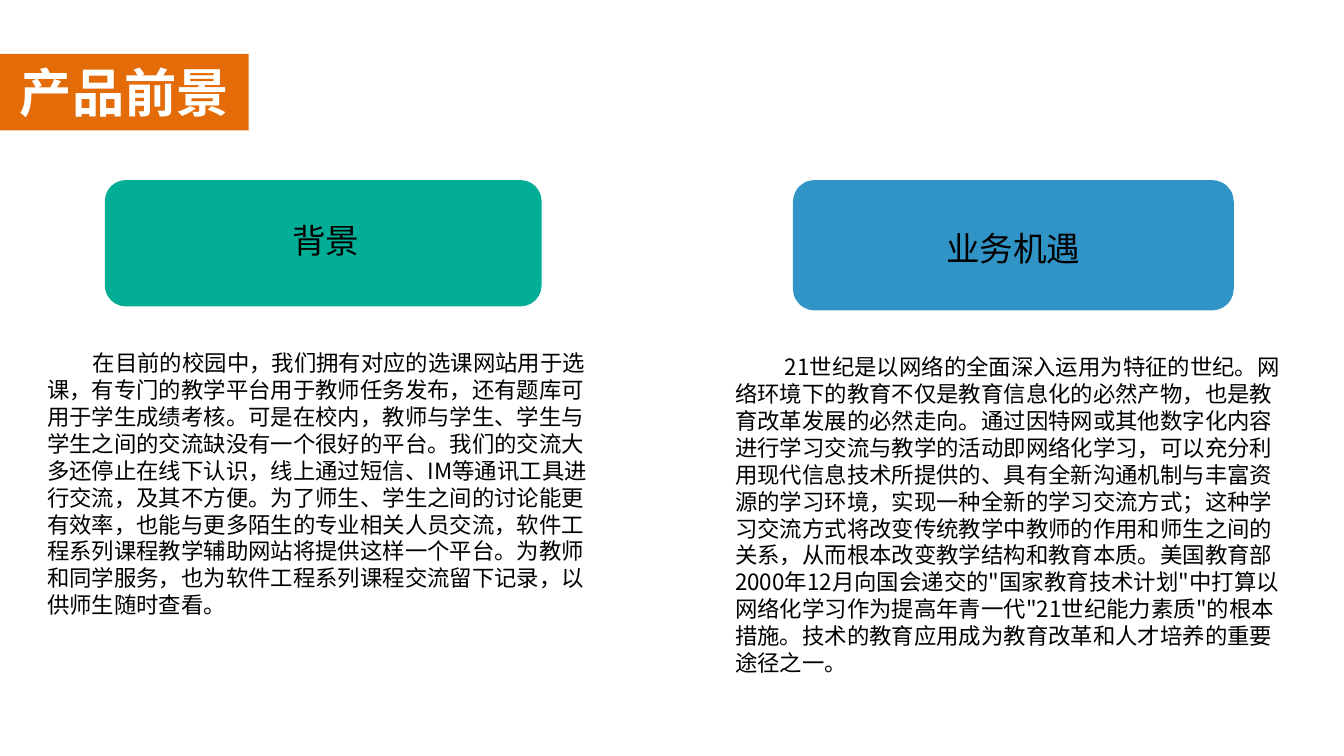
import pptx
import pptx.dml.color
import pptx.enum.lang
import pptx.enum.shapes
import pptx.enum.text
import pptx.oxml.ns
import pptx.util
from dataclasses import dataclass
from lxml import etree

Inches = pptx.util.Inches
ALIGN = pptx.enum.text.PP_ALIGN
ANCHOR = pptx.enum.text.MSO_ANCHOR
qn = pptx.oxml.ns.qn


@dataclass(frozen=True)
class Theme:
    title_font: str = "Calibri"
    font: str = "Noto Sans CJK SC"
    banner: str = "E36C09"
    green: str = "03AE97"
    blue: str = "3194C6"
    light: str = "FFFFFF"
    dark: str = "000000"
    title_size: int = 28
    heading_size: int = 18
    body_size: int = 12


THEME = Theme()

BACKGROUND = (
    "在目前的校园中，我们拥有对应的选课网站用于选课，有专门的教学平台用于教师任务发布，"
    "还有题库可用于学生成绩考核。可是在校内，教师与学生、学生与学生之间的交流缺没有一个很好的平台。"
    "我们的交流大多还停止在线下认识，线上通过短信、IM等通讯工具进行交流，及其不方便。"
    "为了师生、学生之间的讨论能更有效率，也能与更多陌生的专业相关人员交流，"
    "软件工程系列课程教学辅助网站将提供这样一个平台。"
    "为教师和同学服务，也为软件工程系列课程交流留下记录，以供师生随时查看。"
)
OPPORTUNITY = (
    "21世纪是以网络的全面深入运用为特征的世纪。网络环境下的教育不仅是教育信息化的必然产物，"
    "也是教育改革发展的必然走向。通过因特网或其他数字化内容进行学习交流与教学的活动即网络化学习，"
    "可以充分利用现代信息技术所提供的、具有全新沟通机制与丰富资源的学习环境，"
    "实现一种全新的学习交流方式；这种学习交流方式将改变传统教学中教师的作用和师生之间的关系，"
    "从而根本改变教学结构和教育本质。美国教育部2000年12月向国会递交的\"国家教育技术计划\"中"
    "打算以网络化学习作为提高年青一代\"21世纪能力素质\"的根本措施。"
    "技术的教育应用成为教育改革和人才培养的重要途径之一。"
)


def set_attrs(obj, values):
    for name, value in values.items():
        setattr(obj, name, value)


def place(sp, left, top, width, height):
    set_attrs(sp, {"left": Inches(left), "top": Inches(top),
                   "width": Inches(width), "height": Inches(height)})


def fill(sp, color):
    sp.fill.solid()
    sp.fill.fore_color.rgb = pptx.dml.color.RGBColor.from_string(color)


def write(sp, text, size, color, font, bold=False, align=ALIGN.LEFT,
          anchor=ANCHOR.TOP, margins=(0, 0), before=0):
    """Fill a shape with one formatted paragraph and return the paragraph."""
    tf = sp.text_frame
    x, y = (Inches(m) for m in margins)
    set_attrs(tf, {"word_wrap": True, "vertical_anchor": anchor,
                   "auto_size": pptx.enum.text.MSO_AUTO_SIZE.NONE,
                   "margin_left": x, "margin_right": x,
                   "margin_top": y, "margin_bottom": y})
    p = tf.paragraphs[0]
    set_attrs(p, {"alignment": align, "line_spacing": 1.0,
                  "space_before": pptx.util.Pt(before)})
    r = p.add_run()
    r.text = text
    set_attrs(r.font, {
        "name": font, "size": pptx.util.Pt(size), "bold": bold,
        "language_id": pptx.enum.lang.MSO_LANGUAGE_ID.SIMPLIFIED_CHINESE})
    r.font.color.rgb = pptx.dml.color.RGBColor.from_string(color)
    # East Asian typeface follows the Latin one
    ea = etree.Element(qn("a:ea"), typeface=THEME.font)
    r.font._element.find(qn("a:latin")).addnext(ea)
    return p


def add_banner(slide, box, text):
    sp = slide.shapes.title
    place(sp, *box)
    fill(sp, THEME.banner)
    write(sp, text, THEME.title_size, THEME.light, THEME.title_font, bold=True,
          align=ALIGN.CENTER, margins=(0.1, 0.05))


def add_column(slide, box, body, color, heading, text, card, label, indent):
    """Card with a heading above a body text; parts are offset from box."""
    left, top, width, height = box

    # Rounded card
    x, w, h = card
    sp = slide.shapes.add_shape(
        pptx.enum.shapes.MSO_SHAPE.ROUNDED_RECTANGLE,
        Inches(left + x), Inches(top), Inches(w), Inches(h))
    sp.shadow.inherit = False
    fill(sp, color)
    sp.line.fill.background()

    # Heading
    label_x, label_y, label_h = label
    sp = slide.shapes.add_textbox(0, 0, 0, 0)
    place(sp, left + label_x, top + label_y, w - 0.14, label_h)
    write(sp, heading, THEME.heading_size, THEME.dark, THEME.font,
          align=ALIGN.CENTER, anchor=ANCHOR.MIDDLE, before=3)

    # Body without bullet, first line indented
    y = h + 0.32
    place(body, left, top + y, width, height - y)
    p = write(body, text, THEME.body_size, THEME.dark, THEME.font)
    pPr = p._p.get_or_add_pPr()
    pPr.set("marL", "0")
    pPr.set("indent", str(Inches(indent)))
    etree.SubElement(pPr, qn("a:buNone"))


def main():
    prs = pptx.Presentation()
    prs.slide_width = Inches(10)
    prs.slide_height = prs.slide_width * 9 // 16
    slide = prs.slides.add_slide(prs.slide_layouts.get_by_name("Two Content"))
    left_body, right_body = list(slide.placeholders)[1:]

    add_banner(slide, (0, 0.4, 1.85, 0.57), "产品前景")
    add_column(slide, (0.35, 1.34, 4.09, 3.72), left_body, THEME.green,
               "背景", BACKGROUND, card=(0.43, 3.25, 0.94),
               label=(0.52, 0.26, 0.37), indent=0.34)
    add_column(slide, (5.47, 1.34, 4.13, 3.71), right_body, THEME.blue,
               "业务机遇", OPPORTUNITY, card=(0.43, 3.28, 0.97),
               label=(0.5, 0.35, 0.31), indent=0.37)

    prs.save("out.pptx")


if __name__ == "__main__":
    main()
